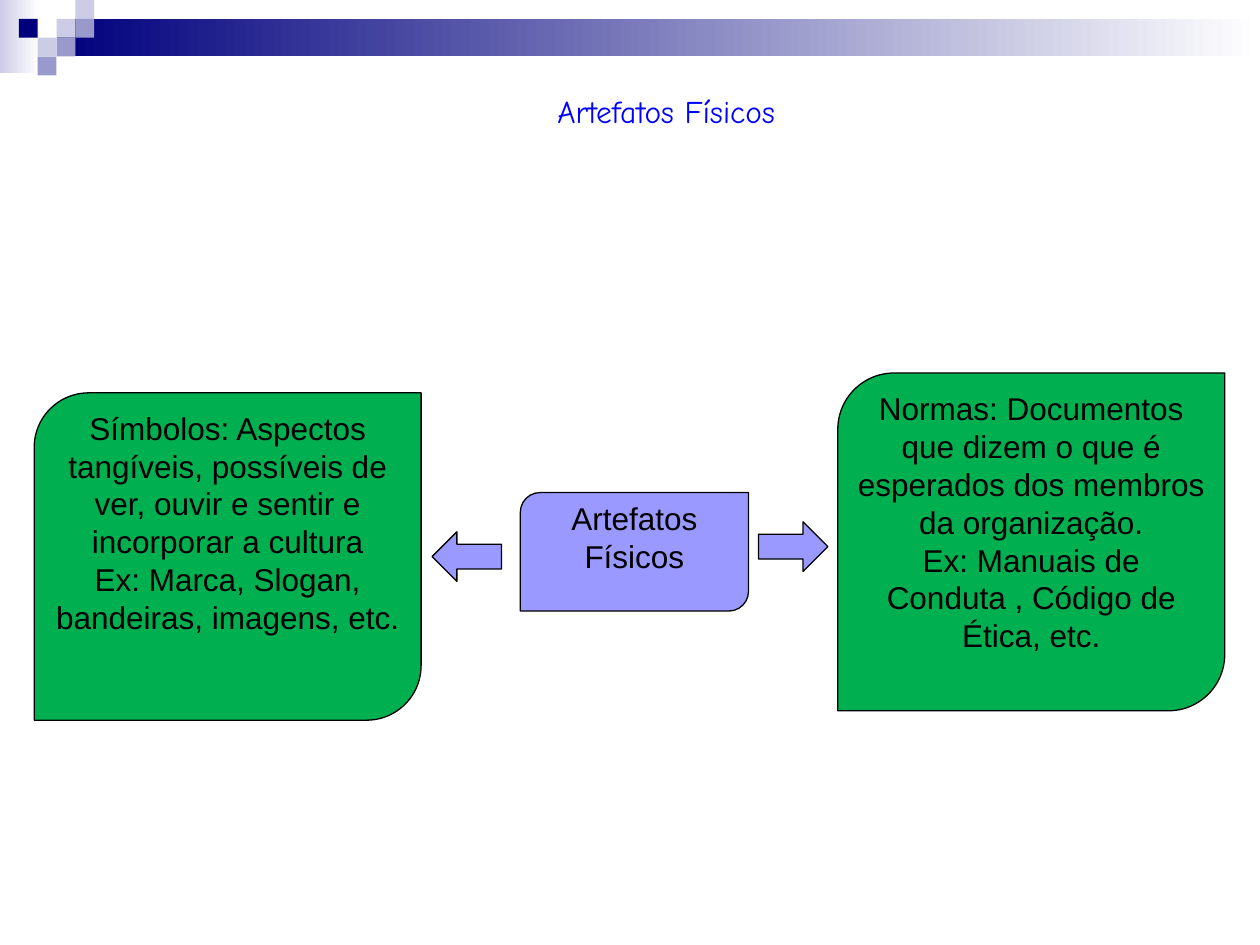
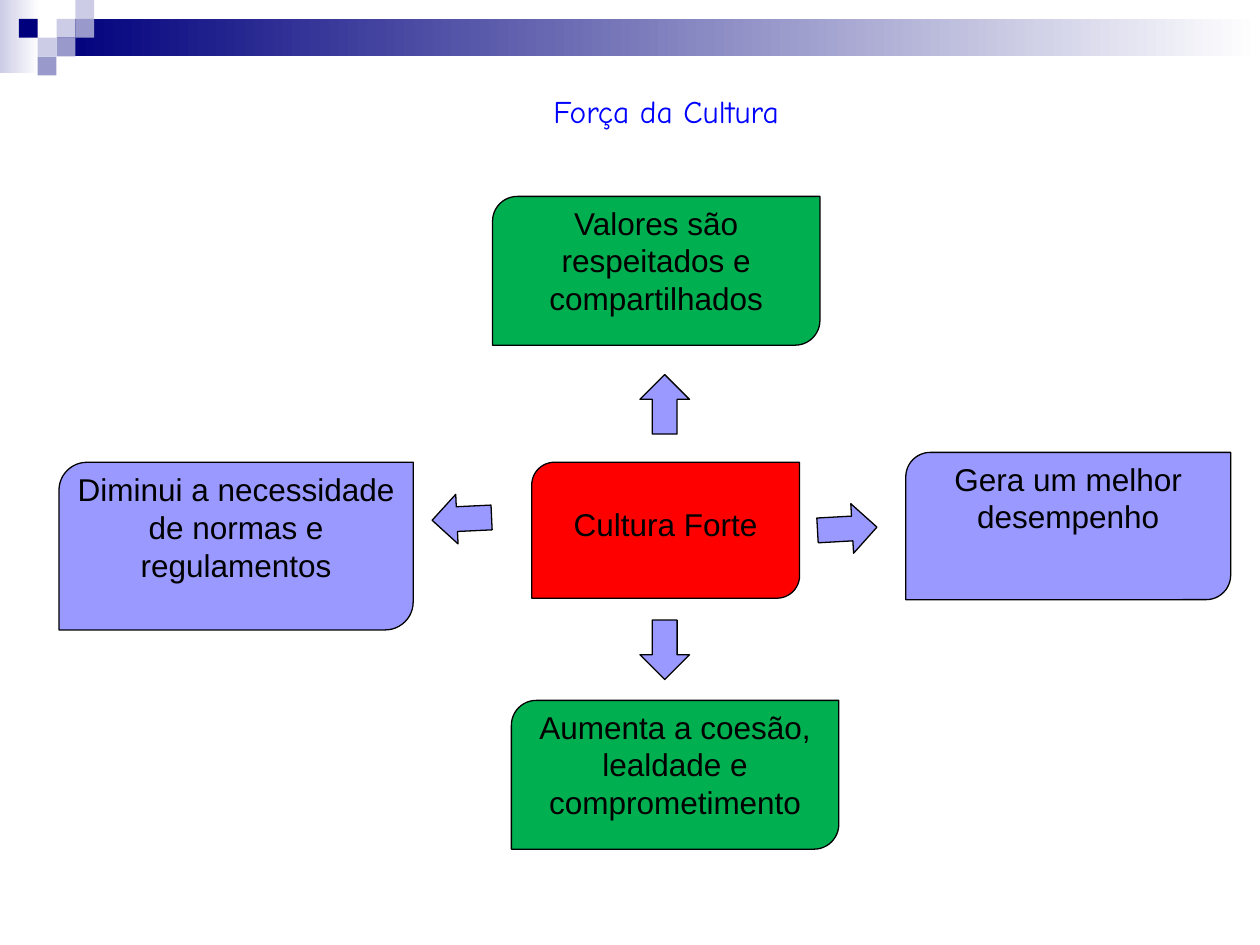
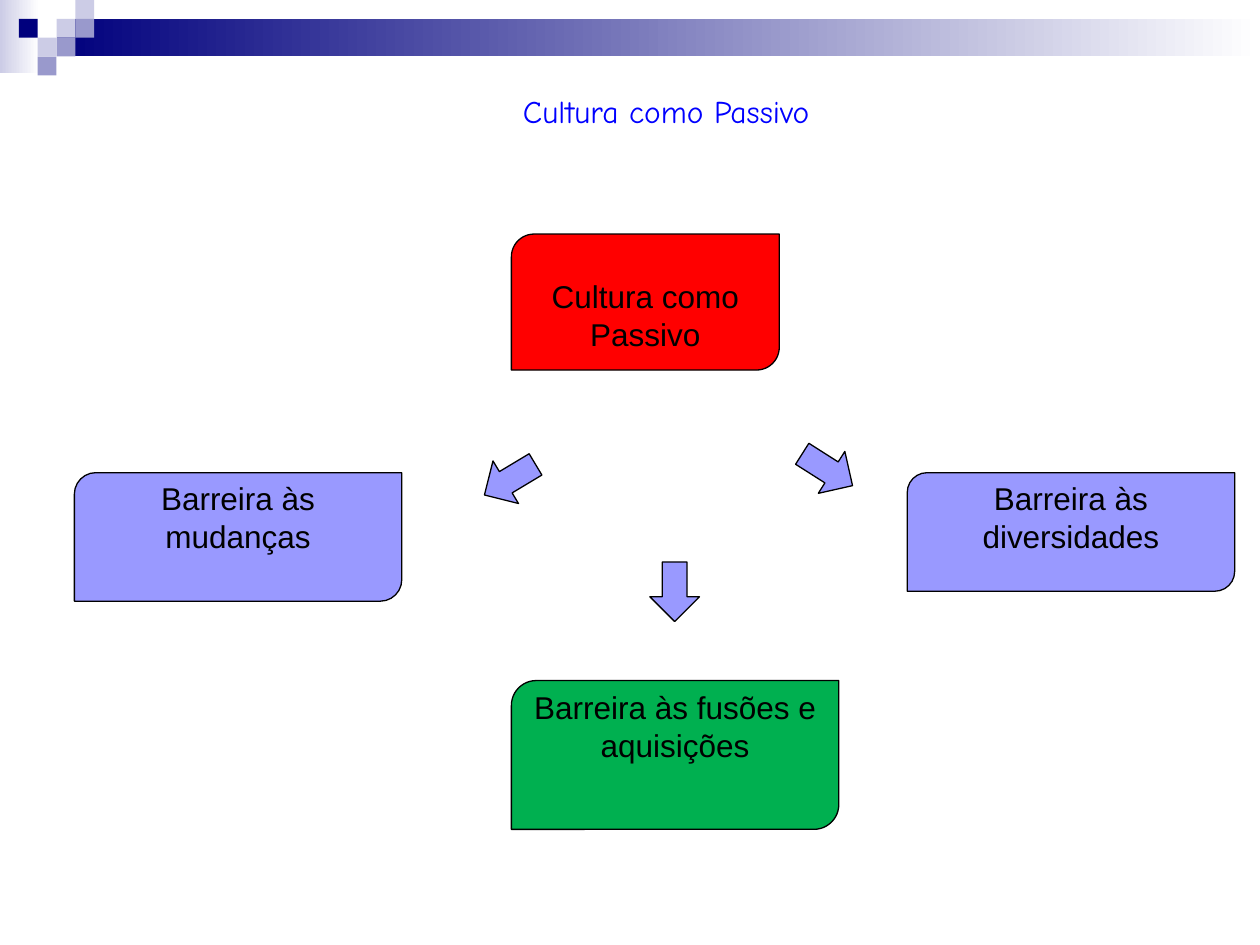
from pptx import Presentation
from pptx.dml.color import RGBColor
from pptx.enum.shapes import MSO_SHAPE
from pptx.enum.text import MSO_ANCHOR, PP_ALIGN
from pptx.util import Cm, Pt

# Shared style
NAVY, LAVENDER, MIST = "00007D", "9999CC", "CCCCE6"
GREEN, VIOLET, RED = "00B050", "9999FF", "FF0000"
BLACK, WHITE, BLUE = "000000", "FFFFFF", "0000FF"
BODY = {"name": "Arial", "size": Pt(18)}
HEADING = {"name": "Comic Neue", "size": Pt(18)}
FRAME = {"word_wrap": True, "vertical_anchor": MSO_ANCHOR.TOP}
SIDE, TOP = 0.25, 0.13
LINE_HEIGHT = 0.73
TILE = 0.38
TILES = [(3, 1, MIST), (4, 0, MIST), (4, 1, LAVENDER), (2, 2, MIST),
         (1, 1, NAVY), (3, 2, LAVENDER), (2, 3, LAVENDER)]


def rgb(color):
    return RGBColor.from_string(color)


def assign(target, values):
    for name, value in values.items():
        setattr(target, name, value)


class Deck:
    def __init__(self):
        self.presentation = Presentation()
        assign(self.presentation,
               {"slide_width": Cm(25.4), "slide_height": Cm(19.05)})
        self.slide = None

    def new_slide(self, title):
        blank = self.presentation.slide_layouts[6]
        self.slide = self.presentation.slides.add_slide(blank)
        self.header()
        self.title(title)

    def shape(self, kind, place, color, outlined=False):
        item = self.slide.shapes.add_shape(kind, *map(Cm, place))
        item.shadow.inherit = False
        item.fill.solid()
        item.fill.fore_color.rgb = rgb(color)
        if outlined:
            item.line.width = Pt(0.75)
            item.line.color.rgb = rgb(BLACK)
        else:
            item.line.fill.background()
        return item

    def fade(self, place, color):
        band = self.shape(MSO_SHAPE.RECTANGLE, place, color)
        band.fill.gradient()
        band.fill.gradient_angle = 0
        for stop, position, shade in zip(band.fill.gradient_stops,
                                         (0, 1), (color, WHITE)):
            stop.position = position
            stop.color.rgb = rgb(shade)

    def header(self):
        self.fade((0, 0, 0.79, 1.47), MIST)
        self.fade((3 * TILE, TILE, 25.4 - 3 * TILE, 2 * TILE), NAVY)
        for column, row, color in TILES:
            self.shape(MSO_SHAPE.RECTANGLE,
                       (column * TILE, row * TILE, TILE, TILE), color)

    def fill_text(self, frame, paragraphs, style, color, side=SIDE, top=TOP):
        assign(frame, FRAME)
        assign(frame, {"margin_left": Cm(side), "margin_right": Cm(side),
                       "margin_top": Cm(top), "margin_bottom": Cm(TOP)})
        for index, text in enumerate(paragraphs):
            paragraph = frame.add_paragraph() if index else frame.paragraphs[0]
            paragraph.alignment = PP_ALIGN.CENTER
            run = paragraph.add_run()
            run.text = text
            assign(run.font, style)
            run.font.color.rgb = rgb(color)

    def title(self, text):
        place = map(Cm, (5.49, 1.73, 15.88, 1.8))
        box = self.slide.shapes.add_textbox(*place)
        self.fill_text(box.text_frame, [text], HEADING, BLUE)

    def card(self, place, color, *paragraphs, skipped_lines=0):
        card = self.shape(MSO_SHAPE.ROUND_2_DIAG_RECTANGLE, place, color, True)
        # The rounded corners already push the text inwards
        corner = min(place[2:]) / 6 * 0.29
        self.fill_text(card.text_frame, paragraphs, BODY, BLACK,
                       side=max(0, SIDE - corner),
                       top=max(0, TOP + skipped_lines * LINE_HEIGHT - corner))

    def arrow(self, left, top, angle, width=1.2):
        arrow = self.shape(MSO_SHAPE.RIGHT_ARROW, (left, top, width, 1),
                           VIOLET, True)
        arrow.rotation = angle


def main():
    deck = Deck()

    # Physical artefacts
    deck.new_slide("Artefatos Físicos")
    deck.card((16.89, 7.52, 7.8, 6.81), GREEN,
              "Normas: Documentos que dizem o que é esperados dos membros "
              "da organização.",
              "Ex: Manuais de Conduta , Código de Ética, etc.")
    deck.card((10.49, 9.93, 4.6, 2.39), VIOLET, "Artefatos", "Físicos")
    deck.card((0.69, 7.92, 7.8, 6.6), GREEN,
              "Símbolos: Aspectos tangíveis, possíveis de ver, ouvir e sentir "
              "e incorporar a cultura",
              "Ex: Marca, Slogan, bandeiras, imagens, etc.")
    deck.arrow(15.29, 10.52, 0, width=1.4)
    deck.arrow(8.71, 10.72, 180, width=1.4)

    # Strength of the culture
    deck.new_slide("Força da Cultura")
    deck.card((18.26, 9.12, 6.55, 2.97), VIOLET, "Gera um melhor desempenho")
    deck.card((10.31, 14.12, 6.6, 3), GREEN,
              "Aumenta a coesão, lealdade e comprometimento")
    deck.card((10.72, 9.32, 5.4, 2.74), RED, "Cultura Forte", skipped_lines=1)
    deck.card((1.19, 9.32, 7.14, 3.38), VIOLET,
              "Diminui a necessidade de normas e regulamentos")
    deck.card((9.93, 3.96, 6.6, 3), GREEN,
              "Valores são respeitados e compartilhados")
    for left, top, angle in [(8.71, 9.96, 177.3), (16.48, 10.16, 356.8),
                             (12.8, 12.6, 90), (12.8, 7.65, 270)]:
        deck.arrow(left, top, angle)

    # Culture as a liability
    deck.new_slide("Cultura como Passivo")
    deck.card((18.29, 9.53, 6.6, 2.39), VIOLET, "Barreira às diversidades")
    deck.card((10.31, 13.72, 6.6, 3), GREEN, "Barreira às fusões e aquisições")
    deck.card((10.31, 4.72, 5.4, 2.74), RED, "Cultura como Passivo",
              skipped_lines=1)
    deck.card((1.5, 9.53, 6.6, 2.59), VIOLET, "Barreira às mudanças")
    for left, top, angle in [(9.68, 9.17, 149.1), (16.08, 8.97, 32.4),
                             (13, 11.43, 90)]:
        deck.arrow(left, top, angle)

    deck.presentation.save("out.pptx")


if __name__ == "__main__":
    main()
